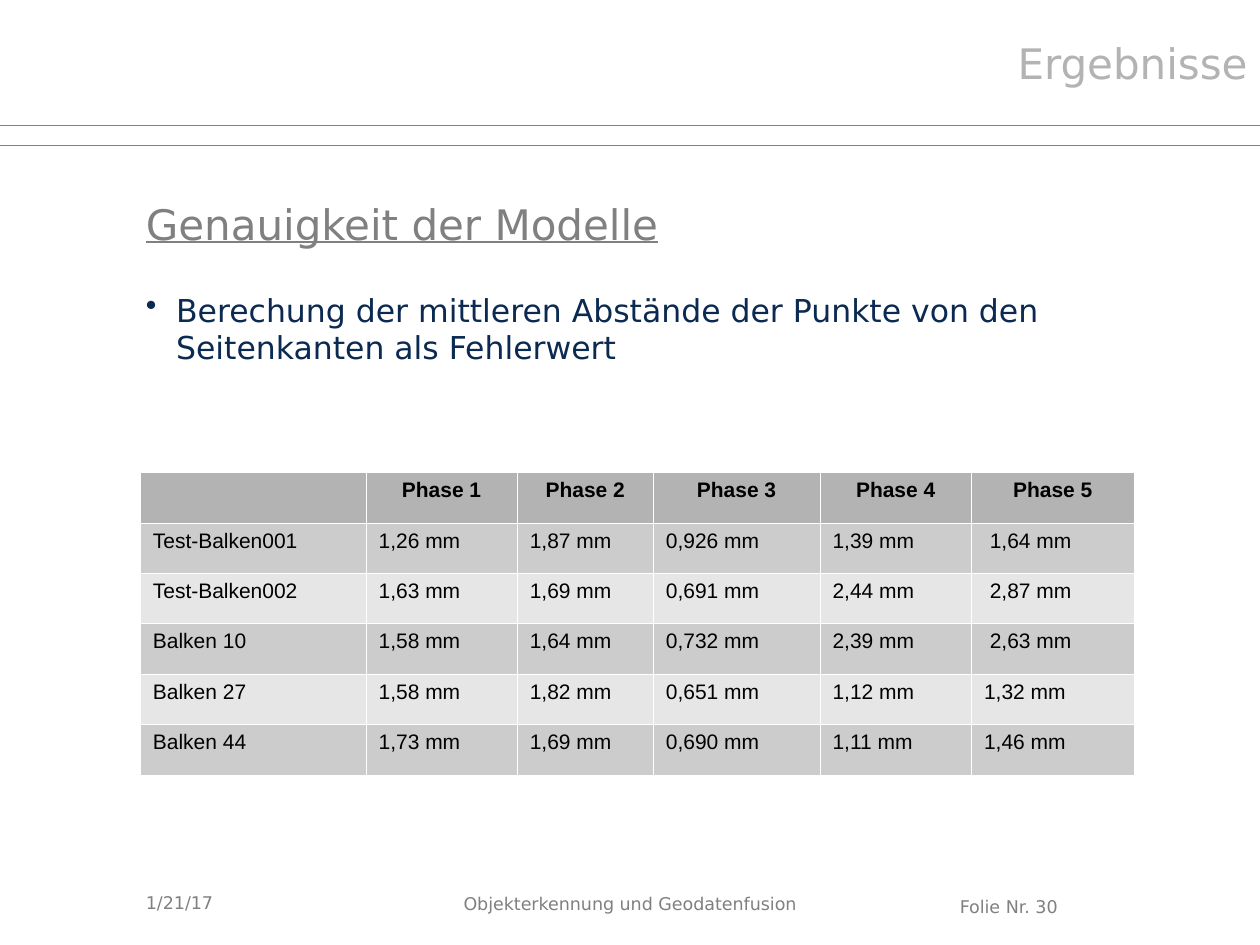
from dataclasses import dataclass

from lxml.etree import SubElement
from pptx import Presentation
from pptx.dml.color import RGBColor
from pptx.enum.shapes import MSO_CONNECTOR
from pptx.enum.text import MSO_ANCHOR, PP_ALIGN
from pptx.oxml.ns import qn
from pptx.util import Pt


@dataclass(frozen=True)
class Theme:
    heading_font: str = "DejaVu Sans"
    table_font: str = "Arial"
    title_size: float = 24
    body_size: float = 18
    table_size: float = 12
    footer_size: float = 10
    grey: str = "808080"
    light_grey: str = "B3B3B3"
    navy: str = "0B2A51"
    black: str = "000000"
    white: str = "FFFFFF"
    bands: tuple = ("CCCCCC", "E6E6E6")


THEME = Theme()
SLIDE_WIDTH, SLIDE_HEIGHT = 720, 540
LEFT_EDGE = 76.3

SECTION = "Ergebnisse"
TITLE = "Genauigkeit der Modelle"
STATEMENT = "Berechung der mittleren Abstände der Punkte von den Seitenkanten als Fehlerwert"
FOOTERS = [
    ("1/21/17", (LEFT_EDGE, 501.8, 167.8, 28), MSO_ANCHOR.MIDDLE),
    ("Objekterkennung und Geodatenfusion", (257.8, 506.9, 249, 18.7), MSO_ANCHOR.TOP),
    ("Folie Nr. 30", (541.4, 508.3, 136, 18.7), MSO_ANCHOR.TOP),
]
RULE_HEIGHTS = [71.5, 82.9]

PHASES = ["", "Phase 1", "Phase 2", "Phase 3", "Phase 4", "Phase 5"]
ERRORS = [
    ["Test-Balken001", "1,26 mm", "1,87 mm", "0,926 mm", "1,39 mm", "1,64 mm"],
    ["Test-Balken002", "1,63 mm", "1,69 mm", "0,691 mm", "2,44 mm", "2,87 mm"],
    ["Balken 10", "1,58 mm", "1,64 mm", "0,732 mm", "2,39 mm", "2,63 mm"],
    ["Balken 27", "1,58 mm", "1,82 mm", "0,651 mm", "1,12 mm", "1,32 mm"],
    ["Balken 44", "1,73 mm", "1,69 mm", "0,690 mm", "1,11 mm", "1,46 mm"],
]
INDENTED_CELLS = {(row, 5) for row in (1, 2, 3)}
TABLE_LEFT, TABLE_TOP = 80.2, 269.5
COLUMN_WIDTHS = [129, 86.4, 77.8, 95.2, 86.6, 93]
HEADER_HEIGHT, ROW_HEIGHT = 29.2, 28.8
CELL_INDENT = 10.5
BORDER_WIDTH = 0.06


def add_run(paragraph, text, size, color, font=THEME.heading_font, bold=False, underline=False):
    run = paragraph.add_run()
    run.text = text
    run.font.name = font
    run.font.size = Pt(size)
    run.font.bold = bold
    run.font.underline = underline
    run.font.color.rgb = RGBColor.from_string(color)


def add_text(slide, box, anchor=MSO_ANCHOR.TOP, align=PP_ALIGN.LEFT):
    frame = slide.shapes.add_textbox(*map(Pt, box)).text_frame
    frame.word_wrap = True
    frame.vertical_anchor = anchor
    paragraph = frame.paragraphs[0]
    paragraph.alignment = align
    return paragraph


def add_bullet(paragraph, indent, color):
    properties = paragraph._p.get_or_add_pPr()
    properties.set("marL", str(Pt(indent)))
    properties.set("indent", str(-Pt(indent)))
    bullet_color = SubElement(properties, qn("a:buClr"))
    SubElement(bullet_color, qn("a:srgbClr"), val=color)
    SubElement(properties, qn("a:buChar"), char="•")


def add_rule(slide, height):
    rule = slide.shapes.add_connector(
        MSO_CONNECTOR.STRAIGHT, Pt(0), Pt(height), Pt(SLIDE_WIDTH), Pt(height)
    )
    rule.line.color.rgb = RGBColor.from_string(THEME.grey)
    rule.line.width = Pt(0.5)
    SubElement(rule._element.spPr, qn("a:effectLst"))


def style_cell(cell, fill):
    properties = cell._tc.get_or_add_tcPr()
    for side in ("lnL", "lnR", "lnT", "lnB"):
        border = SubElement(properties, qn(f"a:{side}"), w=str(Pt(BORDER_WIDTH)))
        border_fill = SubElement(border, qn("a:solidFill"))
        SubElement(border_fill, qn("a:srgbClr"), val=THEME.white)
    cell.fill.solid()
    cell.fill.fore_color.rgb = RGBColor.from_string(fill)


def add_error_table(slide):
    rows = [PHASES, *ERRORS]
    heights = [HEADER_HEIGHT] + [ROW_HEIGHT] * len(ERRORS)
    table = slide.shapes.add_table(
        len(rows), len(PHASES), Pt(TABLE_LEFT), Pt(TABLE_TOP),
        Pt(sum(COLUMN_WIDTHS)), Pt(sum(heights)),
    ).table
    for column, width in zip(table.columns, COLUMN_WIDTHS):
        column.width = Pt(width)
    for row, height in zip(table.rows, heights):
        row.height = Pt(height)
    for r, values in enumerate(rows):
        is_header = r == 0
        fill = THEME.light_grey if is_header else THEME.bands[(r - 1) % 2]
        for c, value in enumerate(values):
            cell = table.cell(r, c)
            style_cell(cell, fill)
            if (r, c) in INDENTED_CELLS:
                cell.margin_left = Pt(CELL_INDENT)
            paragraph = cell.text_frame.paragraphs[0]
            paragraph.alignment = PP_ALIGN.CENTER if is_header else PP_ALIGN.LEFT
            if value:
                add_run(paragraph, value, THEME.table_size, THEME.black,
                        THEME.table_font, bold=is_header)


def main():
    presentation = Presentation()
    presentation.slide_width = Pt(SLIDE_WIDTH)
    presentation.slide_height = Pt(SLIDE_HEIGHT)
    slide = presentation.slides.add_slide(presentation.slide_layouts[6])

    for height in RULE_HEIGHTS:
        add_rule(slide, height)

    title = add_text(slide, (LEFT_EDGE, 82.9, 643, 90), MSO_ANCHOR.MIDDLE)
    add_run(title, TITLE, THEME.title_size, THEME.grey, underline=True)

    statement = add_text(slide, (LEFT_EDGE, 162.5, 587.5, 53.5))
    add_bullet(statement, 17.3, THEME.navy)
    add_run(statement, STATEMENT, THEME.body_size, THEME.navy)

    section = add_text(slide, (337.7, 18, 382.3, 35.3), align=PP_ALIGN.RIGHT)
    add_run(section, SECTION, THEME.title_size, THEME.light_grey)

    add_error_table(slide)

    for text, box, anchor in FOOTERS:
        add_run(add_text(slide, box, anchor), text, THEME.footer_size, THEME.grey)

    presentation.save("out.pptx")


if __name__ == "__main__":
    main()
